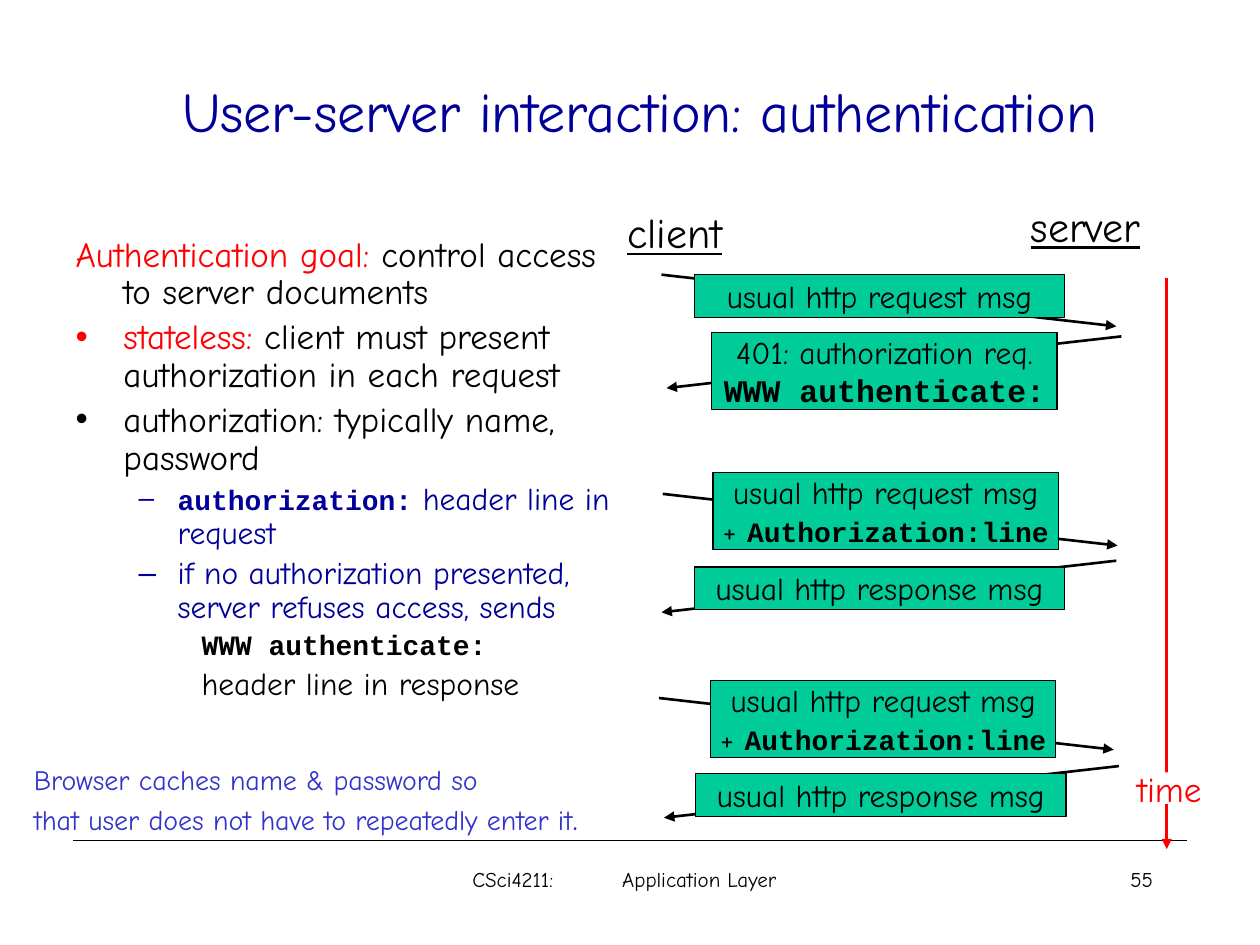
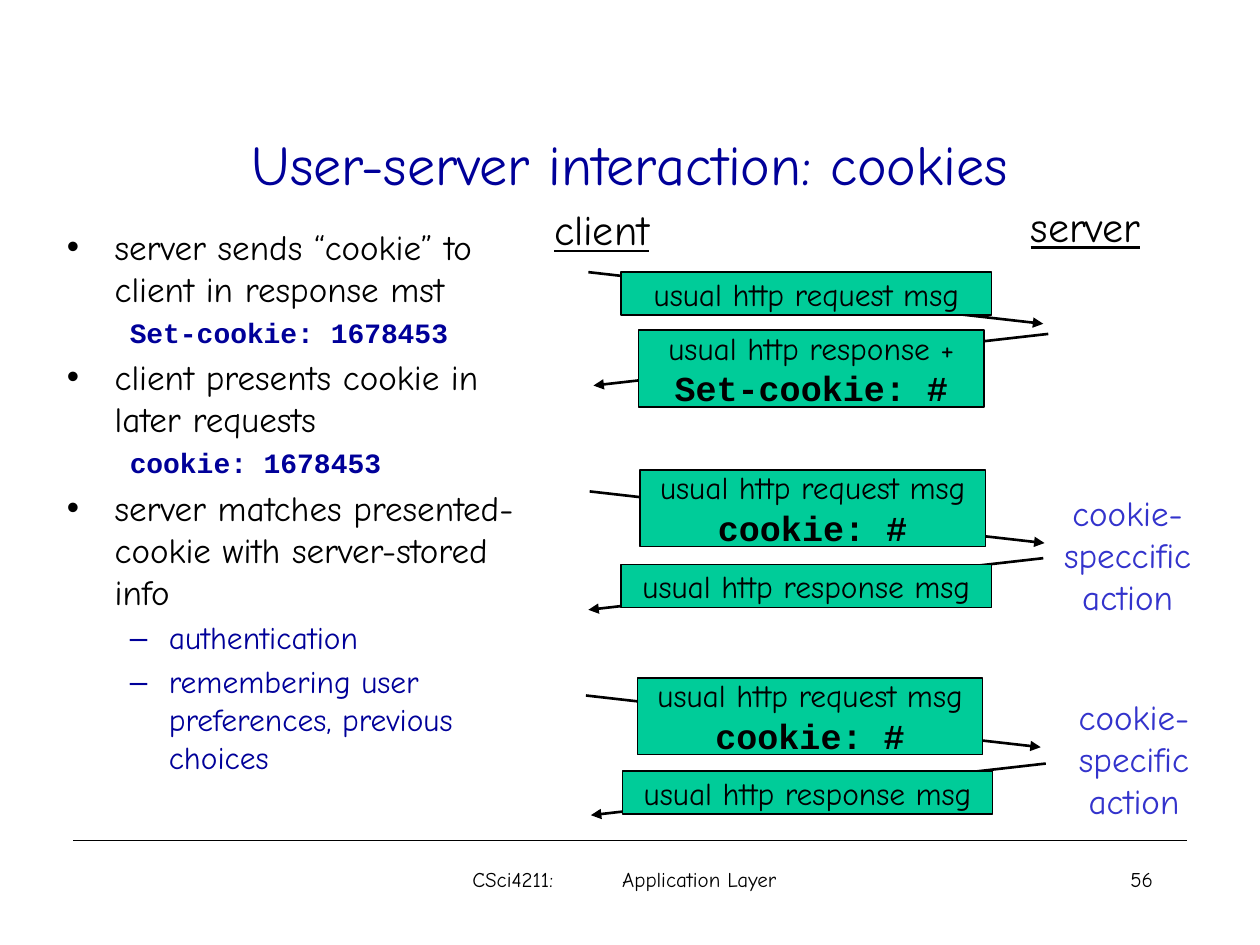
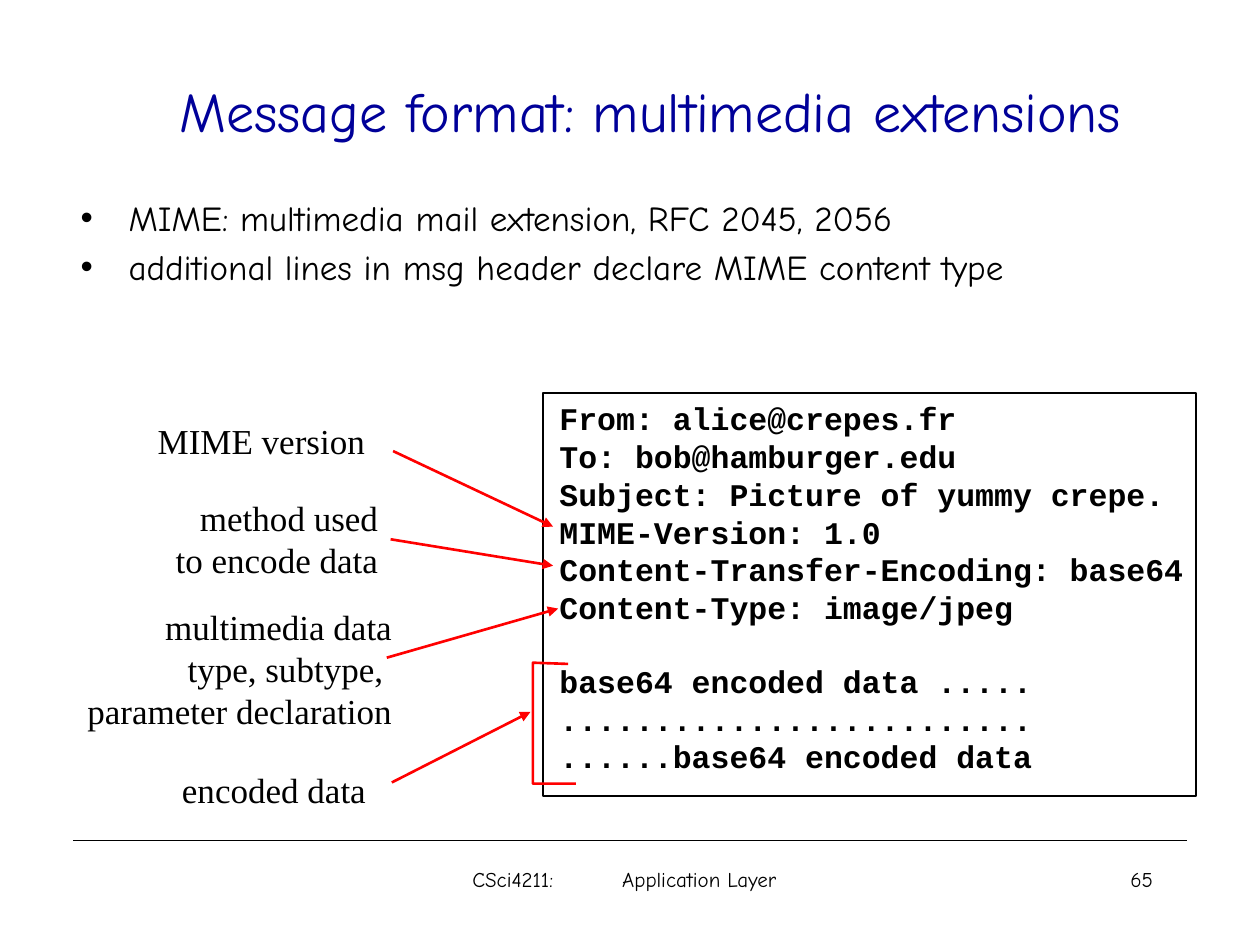
import collections
import lxml.etree
import pptx
import pptx.dml.color
import pptx.enum.shapes
import pptx.enum.text
import pptx.oxml.ns
import pptx.util

Inches = pptx.util.Inches
Pt = pptx.util.Pt
RGBColor = pptx.dml.color.RGBColor
ALIGN = pptx.enum.text.PP_ALIGN
ANCHOR = pptx.enum.text.MSO_ANCHOR
FIT = pptx.enum.text.MSO_AUTO_SIZE
qn = pptx.oxml.ns.qn

# Shared colours and text styles
BLACK = RGBColor(0x00, 0x00, 0x00)
WHITE = RGBColor(0xFF, 0xFF, 0xFF)
NAVY = RGBColor(0x00, 0x00, 0x99)
BLUE = RGBColor(0x33, 0x33, 0xCC)
RED = RGBColor(0xFF, 0x00, 0x00)
GREEN = RGBColor(0x00, 0xCC, 0x99)
COMIC, MONO, SERIF = "Comic Neue", "Courier New", "Times New Roman"

Style = collections.namedtuple(
    "Style", "size color font bold under", defaults=(COMIC, False, False))
TITLE = Style(32, NAVY)
FOOT = Style(12, BLACK)
HEAD = Style(24, BLACK, under=True)
BODY = Style(20, BLACK)
KEY = Style(20, RED)
SUB = Style(18, NAVY)
MSG = Style(18, BLACK)
NOTE = Style(16, BLUE)
ASIDE = Style(20, BLUE)
LABEL = Style(20, BLACK, SERIF)
CODE = Style(16, NAVY, MONO, True)
DARK = CODE._replace(color=BLACK)
MAIL = DARK._replace(size=18)
FIELD = DARK._replace(size=20)

# Left margin and first-line indent of each list level
INDENTS = [(0.38, -0.38), (0.81, -0.31), (1.25, -0.25)]

# Messages: arrow start, box corner, box is tall; odd ones return to the client
STEPS = [
    (5.25, 2.18, 5.51, 2.18, False),
    (8.90, 2.67, 5.65, 2.64, True),
    (5.26, 3.92, 5.66, 3.75, True),
    (8.86, 4.45, 5.51, 4.50, False),
    (5.23, 5.54, 5.64, 5.40, True),
    (8.88, 6.08, 5.52, 6.14, False),
]
REACH, DROP = 3.61, 0.41


# Text
def write(para, runs):
    for text, style in runs:
        run = para.add_run()
        run.text = text
        font = run.font
        font.name = style.font
        font.size = Pt(style.size)
        font.bold = style.bold
        font.underline = style.under
        font.color.rgb = style.color


def fill_frame(frame, paras, align):
    for i, runs in enumerate(paras):
        para = frame.paragraphs[0] if i == 0 else frame.add_paragraph()
        para.alignment = align
        write(para, runs)


def add_text(slide, box, paras, align=ALIGN.CENTER, wrap=False):
    shape = slide.shapes.add_textbox(*map(Inches, box))
    frame = shape.text_frame
    frame.word_wrap = wrap
    frame.auto_size = FIT.NONE if wrap else FIT.SHAPE_TO_FIT_TEXT
    fill_frame(frame, paras, align)
    return frame


def place(holder, box):
    holder.left, holder.top, holder.width, holder.height = map(Inches, box)
    holder.text_frame.word_wrap = True
    holder.text_frame.auto_size = FIT.NONE
    return holder.text_frame


def add_list(slide, box, items, spacing=1.0):
    frame = place(slide.placeholders[1], box)
    frame.vertical_anchor = ANCHOR.TOP
    for i, (level, mark, runs) in enumerate(items):
        para = frame.paragraphs[0] if i == 0 else frame.add_paragraph()
        para.level = level
        props = para._p.get_or_add_pPr()
        left, first = INDENTS[level]
        props.set("marL", str(Inches(left)))
        props.set("indent", str(Inches(first)))
        if mark:
            lxml.etree.SubElement(props, qn("a:buChar")).set("char", mark)
        else:
            lxml.etree.SubElement(props, qn("a:buNone"))
        para.line_spacing = spacing
        para.space_before = Pt(0.2 * runs[0][1].size if i else 0)
        write(para, runs)


# Shapes and lines
def add_box(slide, box, fill=None, line=None, width=0.75):
    shape = slide.shapes.add_shape(
        pptx.enum.shapes.MSO_SHAPE.RECTANGLE, *map(Inches, box))
    shape.shadow.inherit = False
    if fill is None:
        shape.fill.background()
    else:
        shape.fill.solid()
        shape.fill.fore_color.rgb = fill
    if line is None:
        shape.line.fill.background()
    else:
        shape.line.color.rgb = line
        shape.line.width = Pt(width)
    frame = shape.text_frame
    frame.margin_left = frame.margin_right = 0
    frame.margin_top = frame.margin_bottom = 0
    frame.vertical_anchor = ANCHOR.MIDDLE
    return frame


def add_line(slide, ends, color=BLACK, width=1.5, arrow=True):
    line = slide.shapes.add_connector(
        pptx.enum.shapes.MSO_CONNECTOR.STRAIGHT, *map(Inches, ends))
    line.line.color.rgb = color
    line.line.width = Pt(width)
    props = line._element.spPr
    if arrow:
        tip = lxml.etree.SubElement(props.find(qn("a:ln")), qn("a:tailEnd"))
        tip.set("type", "triangle")
    lxml.etree.SubElement(props, qn("a:effectLst"))


# Parts of the slides
def add_page(deck, title, box, number):
    slide = deck.slides.add_slide(deck.slide_layouts[1])
    frame = place(slide.shapes.title, box)
    frame.vertical_anchor = ANCHOR.MIDDLE
    fill_frame(frame, [[(title, TITLE)]], ALIGN.CENTER)
    add_line(slide, (0.58, 6.67, 9.42, 6.67), width=0.75, arrow=False)
    foot = add_text(slide, (3.65, 6.83, 2.93, 0.5), [], wrap=True)
    para = foot.paragraphs[0]
    tabs = lxml.etree.SubElement(para._p.get_or_add_pPr(), qn("a:tabLst"))
    tab = lxml.etree.SubElement(tabs, qn("a:tab"))
    tab.set("pos", str(Inches(1.19)))
    tab.set("algn", "l")
    write(para, [("CSci4211:\tApplication Layer", FOOT)])
    add_text(slide, (7.17, 6.83, 2.08, 0.5), [[(str(number), FOOT)]],
             ALIGN.RIGHT, wrap=True)
    return slide


def add_flow(slide, texts, dx=0, dy=0):
    add_text(slide, (4.82 + dx, 1.59 + dy, 1.07, 0.5), [[("client", HEAD)]])
    add_text(slide, (8.01, 1.54, 1.21, 0.5), [[("server", HEAD)]])
    for i, (step, paras) in enumerate(zip(STEPS, texts)):
        x, y, left, top, tall = step
        x, y = x + dx, y + dy
        way = -1 if i % 2 else 1
        add_line(slide, (x, y, x + way * REACH, y + DROP))
        size = (2.74, 0.61) if tall else (2.94, 0.34)
        frame = add_box(slide, (left + dx, top + dy, *size), GREEN, BLACK)
        fill_frame(frame, paras, ALIGN.CENTER)


def add_login(deck):
    slide = add_page(deck, "User-server interaction: authentication",
                     (0.83, 0.25, 8.5, 1.25), 55)
    add_list(slide, (0.5, 1.83, 4.47, 4.17), [
        (0, "", [("Authentication goal:", KEY),
                 (" control access to server documents", BODY)]),
        (0, "•", [("stateless:", KEY),
                  (" client must present authorization in each request", BODY)]),
        (0, "•", [("authorization: typically name, password", BODY)]),
        (1, "–", [("authorization:", CODE), (" header line in request", SUB)]),
        (1, "–", [("if no authorization presented, server refuses access, sends",
                   SUB)]),
        (2, "", [("WWW authenticate:", DARK)]),
        (2, "", [("header line in response", MSG)]),
    ], 0.9)
    ask = [("usual http request msg", MSG)]
    reply = [[("usual http response msg", MSG)]]
    proof = [ask, [("+ ", MSG), ("Authorization:line", DARK)]]
    refusal = [[("401: authorization req.", MSG)], [("WWW authenticate:", MAIL)]]
    add_flow(slide, [[ask], refusal, proof, reply, proof, reply])
    # Time axis
    add_line(slide, (9.26, 2.21, 9.26, 6.74), RED)
    frame = add_box(slide, (8.97, 6.13, 0.62, 0.25), WHITE)
    frame.word_wrap = False
    fill_frame(frame, [[("time", KEY)]], ALIGN.CENTER)
    add_text(slide, (0.17, 6, 5.06, 0.7), [
        [("Browser caches name & password so", NOTE)],
        [("that user does not have to repeatedly enter it", NOTE),
         (".", ASIDE)],
    ], ALIGN.LEFT)


def add_cookies(deck):
    slide = add_page(deck, "User-server interaction: cookies",
                     (0.75, 0.67, 8.5, 1.25), 56)
    add_list(slide, (0.43, 1.74, 3.94, 4.71), [
        (0, "•", [("server sends “cookie” to client in response mst", BODY)]),
        (1, "", [("Set-cookie: 1678453", CODE)]),
        (0, "•", [("client presents cookie in later requests", BODY)]),
        (1, "", [("cookie: 1678453", CODE)]),
        (0, "•", [("server matches presented-cookie with server-stored info",
                   BODY)]),
        (1, "–", [("authentication", SUB)]),
        (1, "–", [("remembering user preferences, previous choices", SUB)]),
    ])
    ask = [("usual http request msg", MSG)]
    reply = [[("usual http response msg", MSG)]]
    grant = [[("usual http response +", MSG)], [("Set-cookie: #", FIELD)]]
    token = [ask, [("cookie: #", FIELD)]]
    add_flow(slide, [[ask], grant, token, reply, token, reply], -0.58, -0.02)
    for box, word in [((8.27, 3.85, 1.36, 1.1), "speccific"),
                      ((8.39, 5.47, 1.22, 1.1), "specific")]:
        add_text(slide, box,
                 [[(line, ASIDE)] for line in ("cookie-", word, "action")])


def add_mime(deck):
    slide = add_page(deck, "Message format: multimedia extensions",
                     (0.58, 0.25, 9.17, 1.25), 65)
    add_list(slide, (0.54, 1.51, 8.01, 5.08), [
        (0, "•", [("MIME: multimedia mail extension, RFC 2045, 2056", BODY)]),
        (0, "•", [("additional lines in msg header declare MIME content type",
                   BODY)]),
    ])
    # Mail message
    header = ["From: alice@crepes.fr", "To: bob@hamburger.edu",
              "Subject: Picture of yummy crepe.", "MIME-Version: 1.0",
              "Content-Transfer-Encoding: base64", "Content-Type: image/jpeg"]
    data = ["base64 encoded data .....", ".........................",
            "......base64 encoded data"]
    frame = add_box(slide, (4.31, 3.12, 5.18, 3.2), line=BLACK, width=1)
    frame.margin_left, frame.margin_top = Inches(0.13), Inches(0.05)
    frame.vertical_anchor = ANCHOR.TOP
    fill_frame(frame, [[(line, MAIL)] for line in header + data], ALIGN.LEFT)
    frame.paragraphs[len(header)].space_before = Pt(20.4)
    # Labels and their arrows
    for box, lines, align, ends in [
        ((1.06, 3.28, 2.03, 0.43), ["MIME version"], ALIGN.CENTER,
         (3.12, 3.58, 4.39, 4.18)),
        ((0.98, 3.89, 2.12, 0.77), ["method used", "to encode data"],
         ALIGN.RIGHT, (3.1, 4.28, 4.39, 4.49)),
        ((0.12, 4.76, 3.09, 1.1),
         ["multimedia data", "type, subtype, ", "parameter declaration"],
         ALIGN.RIGHT, (3.07, 5.22, 4.43, 4.83)),
        ((1.21, 6.05, 1.93, 0.43), ["encoded data"], ALIGN.CENTER,
         (3.11, 6.21, 4.21, 5.65)),
    ]:
        add_text(slide, box, [[(line, LABEL)] for line in lines], align)
        add_line(slide, ends, RED)
    # Bracket around the data
    pen = slide.shapes.build_freeform(Inches(4.51), Inches(5.27))
    pen.add_line_segments(
        [(Inches(x), Inches(y))
         for x, y in [(4.23, 5.26), (4.23, 6.22), (4.57, 6.22)]], close=False)
    brace = pen.convert_to_shape()
    brace.shadow.inherit = False
    brace.fill.background()
    brace.line.color.rgb = RED
    brace.line.width = Pt(1.5)


def main():
    deck = pptx.Presentation()
    deck.slide_width, deck.slide_height = Inches(10), Inches(7.5)
    add_login(deck)
    add_cookies(deck)
    add_mime(deck)
    deck.save("out.pptx")


if __name__ == "__main__":
    main()
